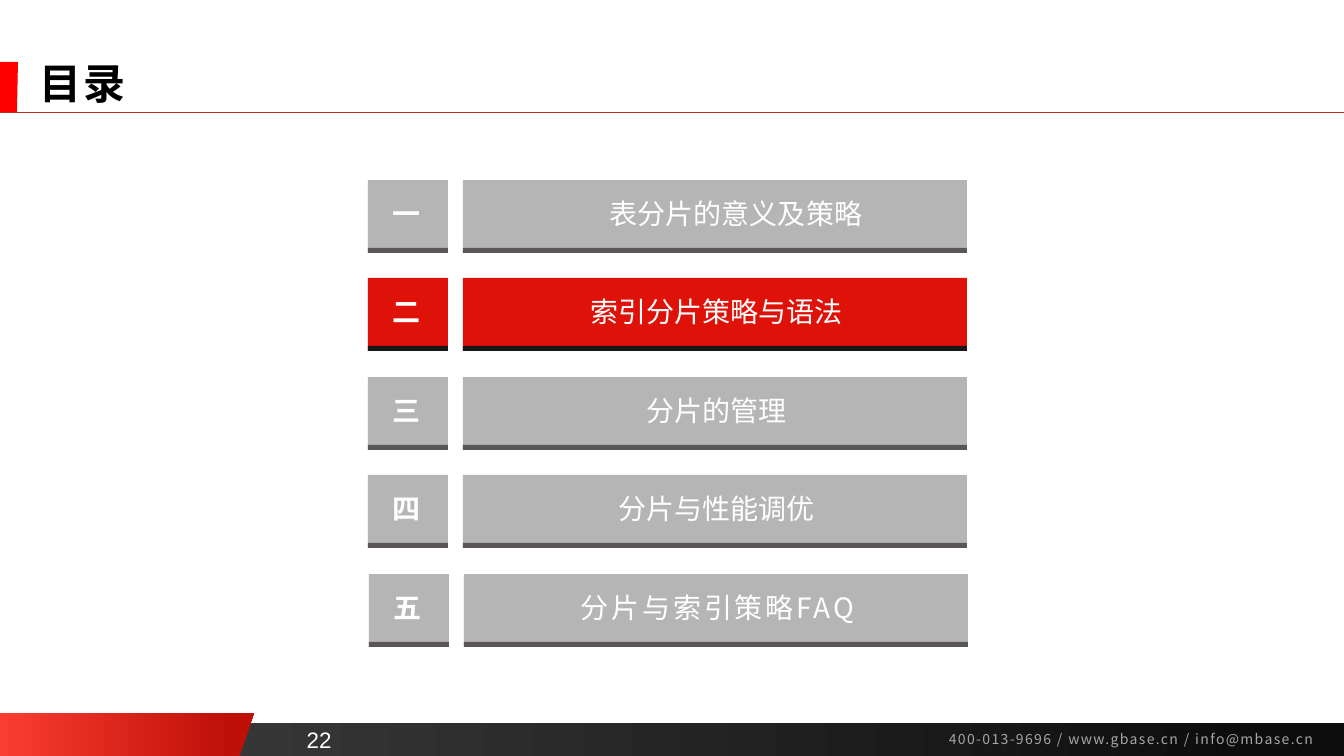
from lxml.etree import SubElement
from pptx import Presentation
from pptx.dml.color import RGBColor
from pptx.enum.shapes import MSO_CONNECTOR, MSO_SHAPE
from pptx.enum.text import MSO_ANCHOR, PP_ALIGN
from pptx.oxml.ns import qn
from pptx.util import Pt

PX = 914400 / 100.8
SANS = "Noto Sans CJK SC"
COLORS = {
    "black": "000000", "white": "FFFFFF", "contact": "A6A6A6",
    "footer_start": "404040", "footer_end": "0D0D0D",
    "wedge_start": "F93D32", "wedge_end": "BE1007",
    "tab": "FF0000", "rule": "B82E24",
    "idle": "B5B5B5", "idle_edge": "5A5656",
    "active": "DE1208", "active_edge": "181717",
}
RGB = {name: RGBColor.from_string(value) for name, value in COLORS.items()}

presentation = Presentation()
presentation.slide_width = round(1344 * PX)
presentation.slide_height = round(756 * PX)
slide = presentation.slides.add_slide(presentation.slide_layouts[6])
shapes = slide.shapes


def paint(shape, start, end=None, end_position=1):
    shape.shadow.inherit = False
    shape.line.fill.background()
    if end is None:
        shape.fill.solid()
        shape.fill.fore_color.rgb = RGB[start]
        return
    shape.fill.gradient()
    shape.fill.gradient_angle = 0
    for stop, color, position in zip(shape.fill.gradient_stops, (start, end), (0, end_position)):
        stop.color.rgb = RGB[color]
        stop.position = position


def write(text, box, size, color, bold=False, font=SANS, align=PP_ALIGN.LEFT,
          anchor=MSO_ANCHOR.TOP, wrap=True, spacing=0):
    frame = shapes.add_textbox(*(round(length * PX) for length in box)).text_frame
    frame.word_wrap = wrap
    frame.vertical_anchor = anchor
    paragraph = frame.paragraphs[0]
    paragraph.text = text
    paragraph.alignment = align
    paragraph.font.size = Pt(size)
    paragraph.font.bold = bold
    paragraph.font.color.rgb = RGB[color]
    paragraph.font.name = font
    properties = paragraph._p.pPr.find(qn("a:defRPr"))
    properties.set("spc", str(spacing * 100))
    SubElement(properties, qn("a:ea"), typeface=font)
    return paragraph


footer = shapes.add_shape(MSO_SHAPE.RECTANGLE, 0, round(723 * PX), round(1344 * PX), round(33 * PX))
paint(footer, "footer_start", "footer_end", 0.94)

for corners, fill in (
    ([(0, 713), (254, 713), (239, 756), (0, 756)], ("wedge_start", "wedge_end", 0.91)),
    ([(0, 62), (18, 62), (17, 112), (0, 112)], ("tab",)),
):
    outline = shapes.build_freeform(*corners[0], scale=PX)
    outline.add_line_segments(corners[1:], close=True)
    paint(outline.convert_to_shape(), *fill)

write("400-013-9696 / www.gbase.cn / info@mbase.cn", (939, 726, 402, 27), 10, "contact", spacing=1)

rule = shapes.add_connector(MSO_CONNECTOR.STRAIGHT, 0, round(112 * PX), round(1344 * PX), round(112 * PX))
rule.line.color.rgb = RGB["rule"]
rule.line.width = Pt(0.5)
SubElement(rule._element.spPr, qn("a:effectLst"))

write("22", (292, 721, 54, 37), 16, "white", font="Arial", align=PP_ALIGN.CENTER,
      anchor=MSO_ANCHOR.BOTTOM, wrap=False)
title = write("目录", (30, 59, 1236, 53), 30, "black", bold=True, anchor=MSO_ANCHOR.MIDDLE, spacing=1)
title.line_spacing = 0.9

chapters = [
    ("一", "表分片的意义及策略", "idle", 0, 39, 0),
    ("二", "索引分片策略与语法", "active", 0, 0, 0),
    ("三", "分片的管理", "idle", 0, 0, 0),
    ("四", "分片与性能调优", "idle", 0, 0, 0),
    ("五", "分片与索引策略FAQ", "idle", 1, 0, 2),
]
for row, (numeral, heading, state, shift, indent, spacing) in enumerate(chapters):
    top = 180 + row * 197 // 2
    for offset, height, color in ((0, 73, state), (68, 5, state + "_edge")):
        for left, width in ((368, 80), (463, 504)):
            box = (left + shift, top + offset, width, height)
            paint(shapes.add_shape(MSO_SHAPE.RECTANGLE, *(round(length * PX) for length in box)), color)
    write(numeral, (383 + shift, top + 12, 48, 44), 20, "white", bold=True, wrap=False)
    label = write(heading, (483 + shift, top + 12, 467, 44), 20, "white",
                  align=PP_ALIGN.CENTER, spacing=spacing)
    if indent:
        label._p.pPr.set("marL", str(round(indent * PX)))
        label._p.pPr.set("indent", "0")

presentation.save("out.pptx")
